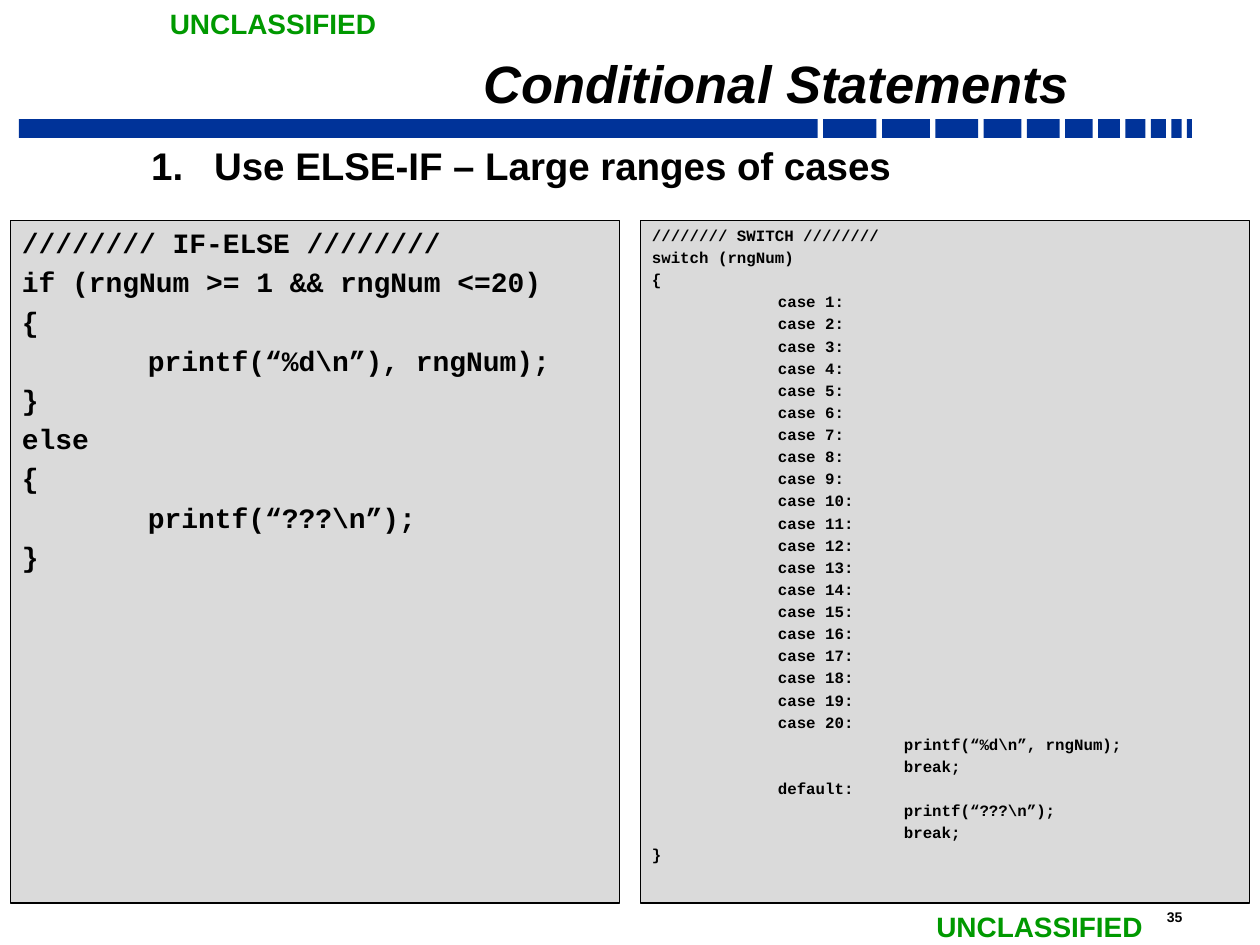
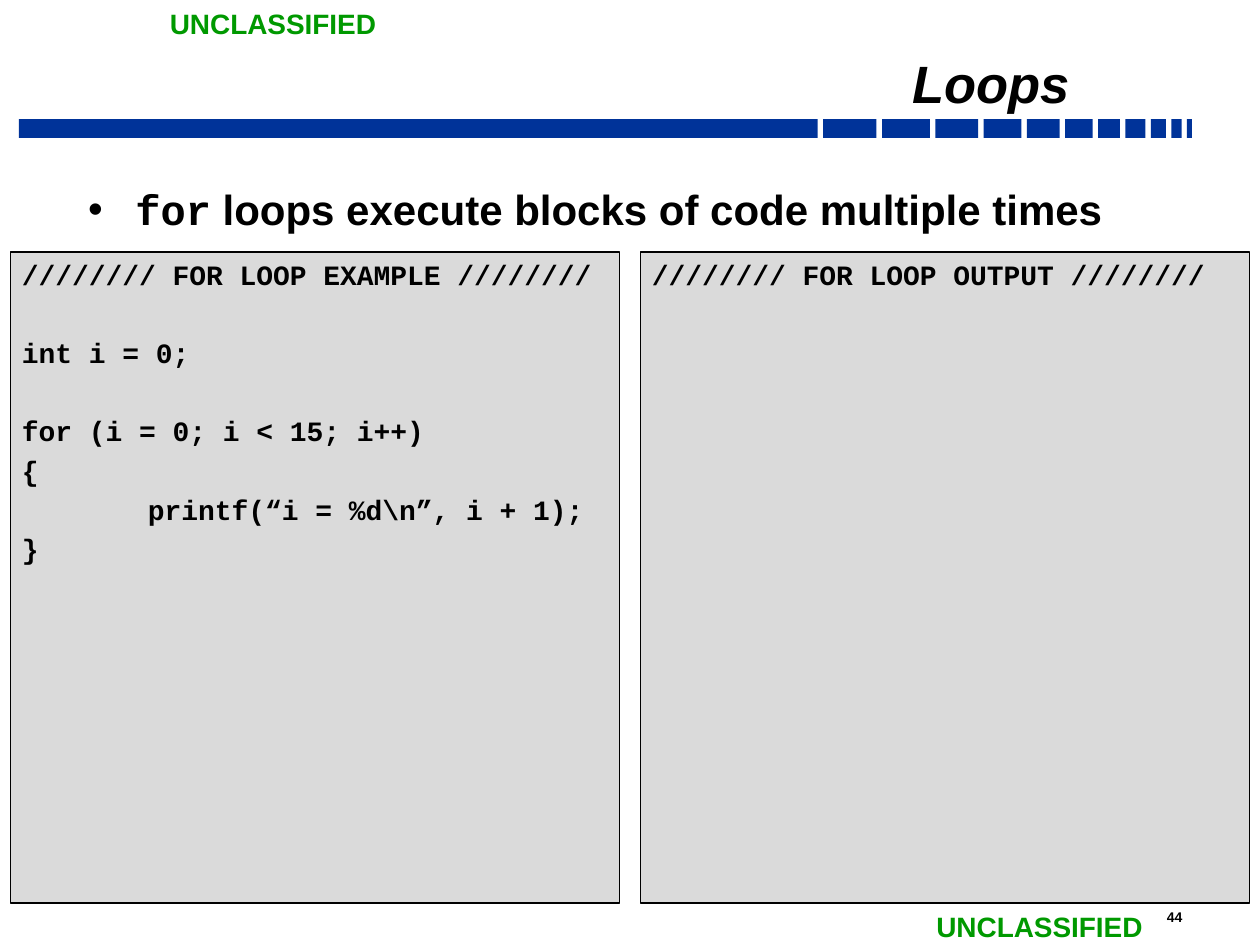
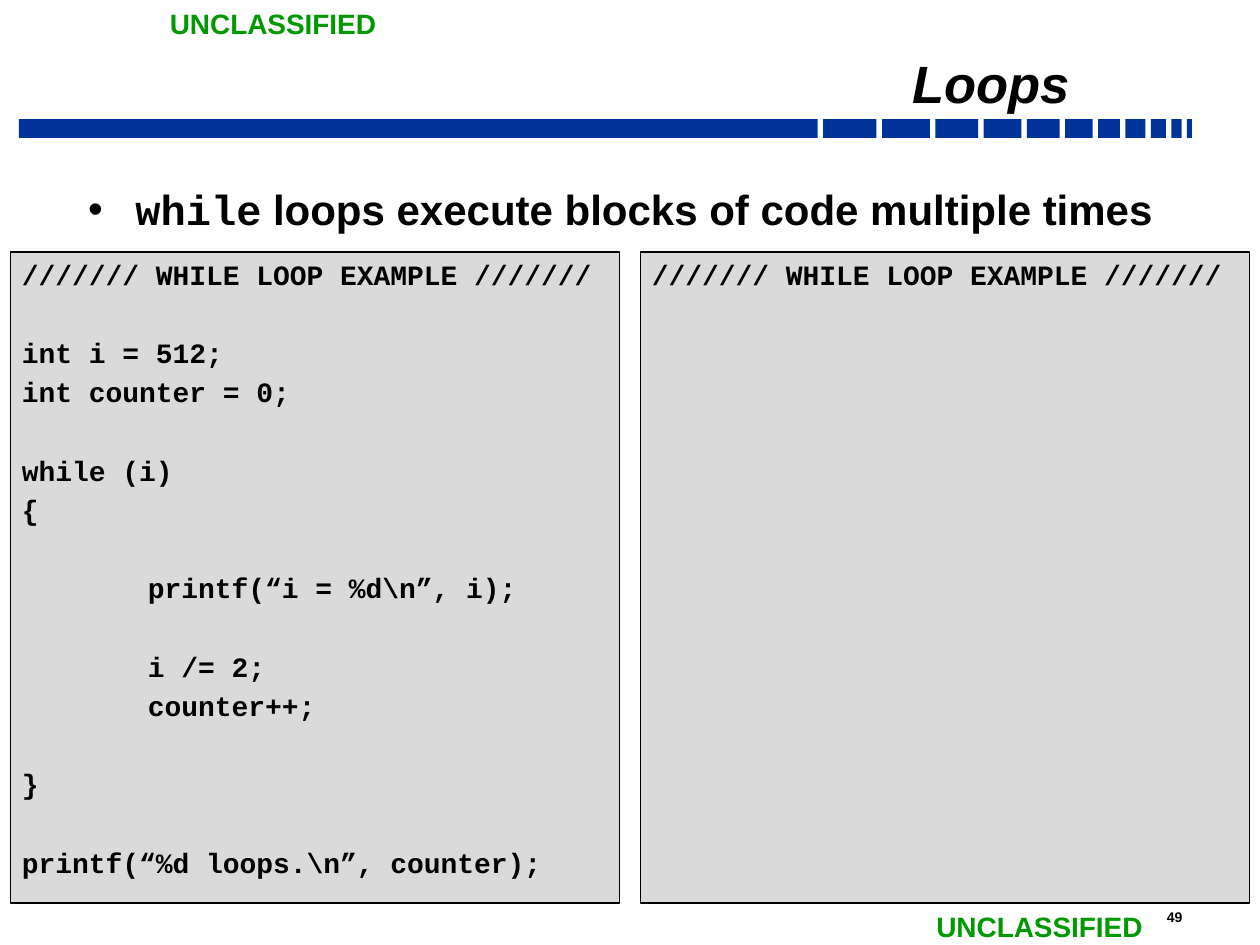
"""Build three slides on conditional statements and loops in C."""
from dataclasses import dataclass

from lxml.etree import SubElement
from pptx import Presentation
from pptx.dml.color import RGBColor
from pptx.enum.shapes import MSO_SHAPE
from pptx.enum.text import MSO_ANCHOR, MSO_AUTO_SIZE, PP_ALIGN
from pptx.oxml.ns import qn
from pptx.util import Pt


@dataclass(frozen=True)
class Theme:
    """Colours, fonts and type sizes shared by all slides."""
    ink: str = "000000"
    band: str = "003399"
    marking: str = "009900"
    panel: str = "DADADA"
    sans: str = "Arial"
    mono: str = "Courier New"
    title: float = 30
    numbered: float = 22
    bullet: float = 24
    code: float = 16
    small_code: float = 9
    label: float = 16
    page: float = 8
    space: float = 0.2
    line_pitch: float = 1.4


THEME = Theme()
INSETS = {"margin_left": Pt(6.5), "margin_right": Pt(6.5),
          "margin_top": Pt(3), "margin_bottom": Pt(3)}
BAND_WIDTHS = (456.5, 30.5, 27.4, 24.5, 21.6, 18.7, 15.8, 12.5, 11.5, 8.6, 5.8, 2.9)
BAND_LEFT, BAND_TOP, BAND_HEIGHT, BAND_GAP = 10.8, 68, 10.8, 3.1
PANEL_LEFTS, PANEL_WIDTH, PANEL_BOTTOM = (6, 366), 348, 516
TAB = 72

IF_ELSE = r"""//////// IF-ELSE ////////
if (rngNum >= 1 && rngNum <=20)
{
    printf(“%d\n”), rngNum);
}
else
{
    printf(“???\n”);
}"""

CASES = "\n".join(f"    case {n}:" for n in range(1, 21))
SWITCH = r"""//////// SWITCH ////////
switch (rngNum)
{
""" + CASES + r"""
        printf(“%d\n”, rngNum);
        break;
    default:
        printf(“???\n”);
        break;
}"""

FOR_LOOP = r"""//////// FOR LOOP EXAMPLE ////////

int i = 0;

for (i = 0; i < 15; i++)
{
    printf(“i = %d\n”, i + 1);
}"""
FOR_OUTPUT = "//////// FOR LOOP OUTPUT ////////"

WHILE_LOOP = r"""/////// WHILE LOOP EXAMPLE ///////

int i = 512;
int counter = 0;

while (i)
{

    printf(“i = %d\n”, i);

    i /= 2;
    counter++;

}

printf(“%d loops.\n”, counter);"""
WHILE_OUTPUT = "/////// WHILE LOOP EXAMPLE ///////"


def apply(obj, values):
    """Set each attribute of an object from a dict."""
    for name, value in values.items():
        setattr(obj, name, value)


def add_line(tf, runs, size, color=THEME.ink, italic=False, **layout):
    """Fill the next paragraph with bold runs of (text, font)."""
    p = tf.paragraphs[-1]
    if p.runs:
        p = tf.add_paragraph()
    apply(p, {"alignment": PP_ALIGN.LEFT, **layout})
    for text, font in runs:
        r = p.add_run()
        r.text = text
        apply(r.font, {"name": font, "size": Pt(size), "bold": True, "italic": italic})
        r.font.color.rgb = RGBColor.from_string(color)
    return p


def indent(p, margin, first=0):
    """Indent a paragraph and return its properties element."""
    pPr = p._p.get_or_add_pPr()
    pPr.set("marL", str(Pt(margin)))
    pPr.set("indent", str(Pt(first)))
    return pPr


def add_text_box(s, left, top, width, height, **frame):
    """Add a text box and return its text frame."""
    tf = s.shapes.add_textbox(Pt(left), Pt(top), Pt(width), Pt(height)).text_frame
    apply(tf, {"word_wrap": True, **frame})
    return tf


def add_rect(shapes, left, top, width, height, fill):
    """Add a plain filled rectangle without a line."""
    sp = shapes.add_shape(MSO_SHAPE.RECTANGLE, Pt(left), Pt(top), Pt(width), Pt(height))
    sp.shadow.inherit = False
    sp.fill.solid()
    sp.fill.fore_color.rgb = RGBColor.from_string(fill)
    sp.line.fill.background()
    return sp


def add_band(s):
    """Draw the blue band that breaks up towards the right."""
    group = s.shapes.add_group_shape()
    left = BAND_LEFT
    for width in BAND_WIDTHS:
        add_rect(group.shapes, left, BAND_TOP, width, BAND_HEIGHT, THEME.band)
        left += width + BAND_GAP


def add_slide(prs, title, page):
    """Add a slide with its band, markings, page number and title."""
    s = prs.slides.add_slide(prs.slide_layouts[6])
    add_band(s)
    grow = {"auto_size": MSO_AUTO_SIZE.SHAPE_TO_FIT_TEXT}
    tf = add_text_box(s, 659.7, 515.8, 38.9, 16.6, **grow)
    add_line(tf, [(page, THEME.sans)], THEME.page)
    for left, top in ((90, 0), (528, 516.2)):
        tf = add_text_box(s, left, top, 133.9, 26.6, **{**grow, "word_wrap": False})
        add_line(tf, [("UNCLASSIFIED", THEME.sans)], THEME.label, THEME.marking)
    tf = add_text_box(s, 119.5, 24.8, 498.2, 42.5,
                      vertical_anchor=MSO_ANCHOR.BOTTOM, **INSETS)
    add_line(tf, [(title, THEME.sans)], THEME.title, italic=True,
             alignment=PP_ALIGN.RIGHT, line_spacing=0.7)
    return s


def add_point(s, top, runs, size, margin, hanging, marker, **marker_values):
    """Add the main point with a bullet or a number."""
    tf = add_text_box(s, 43.9, top, 653, 372.2, **INSETS)
    p = add_line(tf, runs, size, space_before=Pt(THEME.space * size))
    pPr = indent(p, margin, -hanging)
    color = SubElement(pPr, qn("a:buClr"))
    SubElement(color, qn("a:srgbClr"), val=THEME.ink)
    SubElement(pPr, qn("a:buFont"), typeface=THEME.sans)
    SubElement(pPr, qn(marker), **marker_values)


def add_code_panel(s, left, top, code, size):
    """Add a grey panel of code, with blank lines as paragraph spacing."""
    sp = add_rect(s.shapes, left, top, PANEL_WIDTH, PANEL_BOTTOM - top, THEME.panel)
    sp.line.color.rgb = RGBColor.from_string(THEME.ink)
    sp.line.width = Pt(1)
    tf = sp.text_frame
    apply(tf, {"word_wrap": True, "vertical_anchor": MSO_ANCHOR.TOP, **INSETS})
    blanks = 0
    for line in code.splitlines():
        if not line:
            blanks += 1
            continue
        text = line.lstrip()
        depth = (len(line) - len(text)) // 4
        space = size * (THEME.space + blanks * THEME.line_pitch)
        p = add_line(tf, [(text, THEME.mono)], size, space_before=Pt(space))
        indent(p, depth * TAB)
        blanks = 0


def add_code_pair(s, top, *panels):
    """Place panels of (code, size) side by side."""
    for left, (code, size) in zip(PANEL_LEFTS, panels):
        add_code_panel(s, left, top, code, size)


def add_loop_slide(prs, page, keyword, example, output):
    """Add a slide that shows one kind of loop beside its output."""
    s = add_slide(prs, "Loops", page)
    runs = [(keyword, THEME.mono),
            (" loops execute blocks of code multiple times", THEME.sans)]
    add_point(s, 101.8, runs, THEME.bullet, 27, 27, "a:buChar", char="•")
    add_code_pair(s, 144, (example, THEME.code), (output, THEME.code))


def main():
    """Build and save the presentation."""
    prs = Presentation()
    apply(prs, {"slide_width": Pt(720), "slide_height": Pt(540)})
    s = add_slide(prs, "Conditional Statements", "35")
    add_point(s, 78.2, [("Use ELSE-IF – Large ranges of cases", THEME.sans)],
              THEME.numbered, 72, 36, "a:buAutoNum", type="arabicPeriod")
    add_code_pair(s, 126, (IF_ELSE, THEME.code), (SWITCH, THEME.small_code))
    add_loop_slide(prs, "44", "for", FOR_LOOP, FOR_OUTPUT)
    add_loop_slide(prs, "49", "while", WHILE_LOOP, WHILE_OUTPUT)
    prs.save("out.pptx")


if __name__ == "__main__":
    main()
